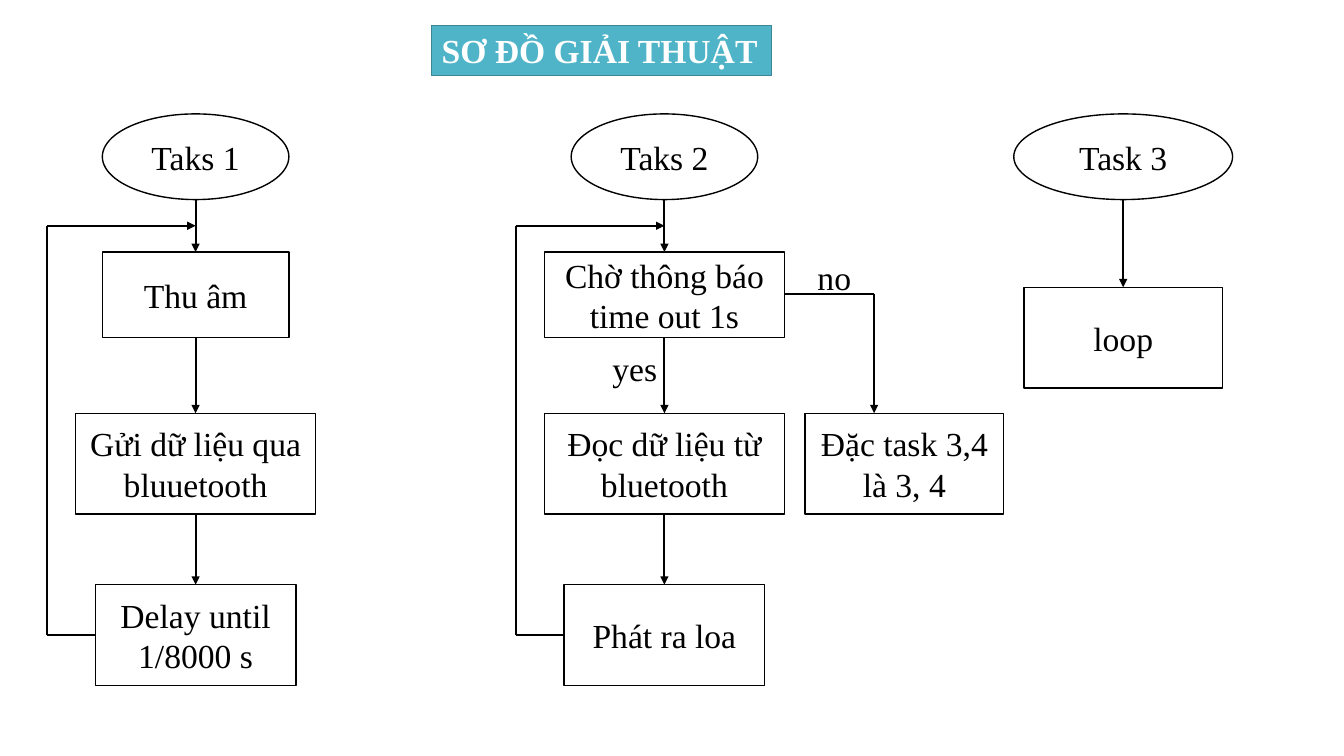
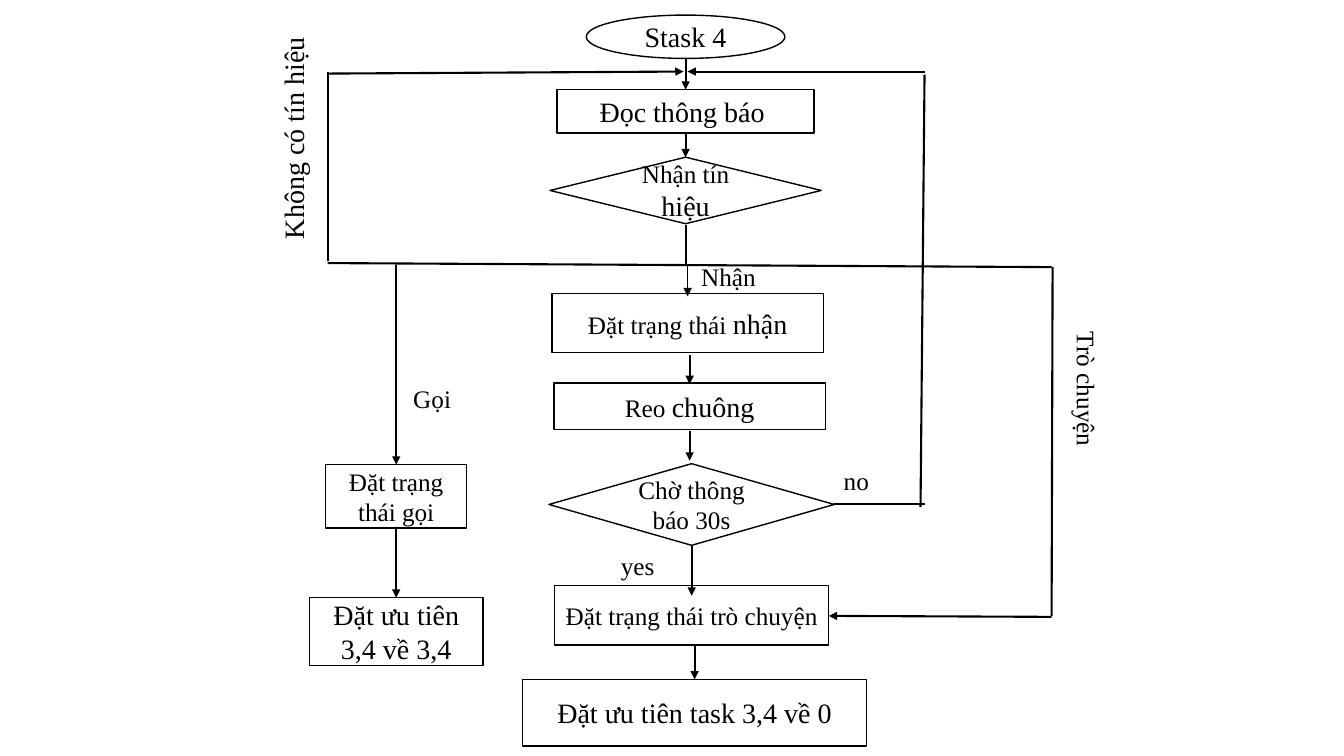
from pptx import Presentation
from pptx.dml.color import RGBColor
from pptx.enum.shapes import MSO_CONNECTOR, MSO_SHAPE
from pptx.enum.text import MSO_ANCHOR, MSO_AUTO_SIZE, PP_ALIGN
from pptx.oxml.ns import qn
from pptx.util import Inches, Pt
from lxml.etree import SubElement

BLACK = RGBColor(0x00, 0x00, 0x00)
WHITE = RGBColor(0xFF, 0xFF, 0xFF)
TEAL = RGBColor(0x50, 0xB4, 0xC8)
DARK_TEAL = RGBColor(0x3B, 0x85, 0x94)
FONT = "Times New Roman"
RECT, OVAL = MSO_SHAPE.RECTANGLE, MSO_SHAPE.OVAL
DECISION, PROCESS = MSO_SHAPE.FLOWCHART_DECISION, MSO_SHAPE.FLOWCHART_PROCESS


def add_node(s, kind, cx, top, w, h, runs, rotation=0):
    frame = [Inches(v) for v in (cx - w / 2, top, w, h)]
    if kind is None:
        sp = s.shapes.add_textbox(*frame)
    else:
        sp = s.shapes.add_shape(kind, *frame)
        sp.shadow.inherit = False
        sp.fill.solid()
        sp.fill.fore_color.rgb = WHITE
        sp.line.color.rgb = BLACK
        sp.line.width = Pt(1)
    sp.rotation = rotation
    tf = sp.text_frame
    tf.word_wrap = kind is not None
    tf.vertical_anchor = MSO_ANCHOR.MIDDLE if kind is not None else MSO_ANCHOR.TOP
    p = tf.paragraphs[0]
    p.alignment = PP_ALIGN.CENTER if kind is not None else PP_ALIGN.LEFT
    for text, size in runs:
        r = p.add_run()
        r.text = text
        r.font.name, r.font.size = FONT, Pt(size)
        r.font.color.rgb = BLACK


def add_link(s, x1, y1, x2, y2, arrow=True, width=1.5):
    ends = [Inches(v) for v in (x1, y1, x2, y2)]
    c = s.shapes.add_connector(MSO_CONNECTOR.STRAIGHT, *ends)
    c.line.color.rgb = BLACK
    c.line.width = Pt(width)
    if arrow:
        SubElement(c.get_or_add_ln(), qn("a:tailEnd"), type="triangle")
    SubElement(c._element.spPr, qn("a:effectLst"))


prs = Presentation()
prs.slide_width, prs.slide_height = Inches(13.33), Inches(7.5)

s = prs.slides.add_slide(prs.slide_layouts[5])
sp = s.shapes.title
sp.left, sp.top, sp.width, sp.height = [Inches(v) for v in (4.28, 0.25, 3.37, 0.5)]
sp.fill.solid()
sp.fill.fore_color.rgb = TEAL
sp.line.color.rgb = DARK_TEAL
sp.line.width = Pt(1)
tf = sp.text_frame
tf.word_wrap = False
tf.auto_size = MSO_AUTO_SIZE.NONE
tf.vertical_anchor = MSO_ANCHOR.TOP
p = tf.paragraphs[0]
p.alignment = PP_ALIGN.LEFT
r = p.add_run()
r.text = "SƠ ĐỒ GIẢI THUẬT"
r.font.name, r.font.size, r.font.bold = FONT, Pt(24), True
r.font.color.rgb = WHITE

ROWS = [(1.13, 0.85), (2.5, 0.85), (4.1, 1), (5.8, 1)]
KINDS = [OVAL, RECT, RECT, RECT]
LOOP_TOP, LOOP_BOTTOM, LOOP_REACH = 2.24, 6.3, 1.47
TASKS = [
    (1.94, [("Taks 1", 1.85), ("Thu âm", 1.85),
            ("Gửi dữ liệu qua bluuetooth", 2.38), ("Delay until 1/8000 s", 1.99)]),
    (6.59, [("Taks 2", 1.85), ("Chờ thông báo time out 1s", 2.38),
            ("Đọc dữ liệu từ bluetooth", 2.38), ("Phát ra loa", 1.99)]),
]
for cx, steps in TASKS:
    for kind, (top, h), (text, w) in zip(KINDS, ROWS, steps):
        add_node(s, kind, cx, top, w, h, [(text, 24)])
    for (top, h), (below, _) in zip(ROWS, ROWS[1:]):
        add_link(s, cx, top + h, cx, below)
    left = cx - LOOP_REACH
    add_link(s, left, LOOP_TOP, cx, LOOP_TOP)
    add_link(s, left, LOOP_BOTTOM, cx - steps[-1][1] / 2, LOOP_BOTTOM, False)
    add_link(s, left, LOOP_TOP, left, LOOP_BOTTOM, False)

for kind, cx, top, w, h, text in [
    (OVAL, 11.14, 1.13, 2.17, 0.85, "Task 3"),
    (RECT, 11.14, 2.85, 1.97, 1, "loop"),
    (RECT, 8.97, 4.1, 1.97, 1, "Đặc task 3,4 là 3, 4"),
    (None, 6.3, 3.4, 0.65, 0.5, "yes"),
    (None, 8.28, 2.5, 0.54, 0.5, "no"),
]:
    add_node(s, kind, cx, top, w, h, [(text, 24)])
add_link(s, 11.14, 1.98, 11.14, 2.85)
add_link(s, 7.78, 2.92, 8.67, 2.92, False)
add_link(s, 8.67, 2.92, 8.67, 4.1)

s = prs.slides.add_slide(prs.slide_layouts[6])
SPINE, CALL = 6.8, 3.93
for kind, cx, top, w, h, runs in [
    (OVAL, SPINE, 0.15, 1.97, 0.43, [("Stask 4", 20)]),
    (RECT, SPINE, 0.89, 2.55, 0.43, [("Đọc thông báo ", 20)]),
    (DECISION, SPINE, 1.56, 2.69, 0.66, [("Nhận tín ", 18), ("hiệu", 20)]),
    (RECT, 6.82, 2.91, 2.69, 0.59, [("Đặt trạng thái ", 18), ("nhận", 20)]),
    (RECT, 6.84, 3.8, 2.69, 0.46, [("Reo ", 18), ("chuông", 20)]),
    (DECISION, 6.86, 4.6, 2.83, 0.81, [("Chờ thông báo 30s", 18)]),
    (RECT, 6.86, 5.81, 2.72, 0.59, [("Đặt trạng thái trò chuyện", 18)]),
    (RECT, 6.89, 6.74, 3.41, 0.66, [("Đặt ưu tiên task 3,4 về 0", 20)]),
    (RECT, CALL, 4.61, 1.4, 0.63, [("Đặt trạng thái gọi", 18)]),
    (PROCESS, CALL, 5.93, 1.72, 0.67, [("Đặt ưu tiên 3,4 về 3,4", 20)]),
]:
    add_node(s, kind, cx, top, w, h, runs)

for cx, start, end in [
    (SPINE, 0.59, 0.89), (SPINE, 1.32, 1.56), (6.84, 3.52, 3.81),
    (6.84, 4.28, 4.57), (6.86, 5.41, 5.91), (6.89, 6.4, 6.74),
    (CALL, 2.63, 4.61), (CALL, 5.23, 5.93),
]:
    add_link(s, cx, start, cx, end)
add_link(s, 6.82, 2.63, 6.82, 2.94, width=0.75)

for ends in [
    (9.17, 0.71, 6.82, 0.71),
    (3.25, 0.73, 6.78, 0.71),
    (10.43, 6.12, 8.22, 6.11),
]:
    add_link(s, *ends)
for ends in [
    (SPINE, 2.23, SPINE, 2.63),
    (3.25, 2.61, 10.43, 2.65),
    (3.25, 0.71, 3.25, 2.59),
    (10.44, 2.65, 10.43, 6.11),
    (8.27, 5, 9.17, 5),
    (9.17, 0.74, 9.13, 5.03),
]:
    add_link(s, *ends, arrow=False)

for cx, top, w, h, text, size, rotation in [
    (6.33, 5.41, 0.54, 0.4, "yes", 18, 0),
    (8.5, 4.57, 0.46, 0.4, "no", 18, 0),
    (7.26, 2.54, 0.81, 0.4, "Nhận", 18, 0),
    (4.29, 3.75, 0.58, 0.4, "Gọi", 18, 0),
    (10.78, 3.67, 1.35, 0.4, "Trò chuyện", 18, 90),
    (2.91, 1.14, 2.22, 0.44, "Không có tín hiệu", 20, 270),
]:
    add_node(s, None, cx, top, w, h, [(text, size)], rotation)

prs.save("out.pptx")
